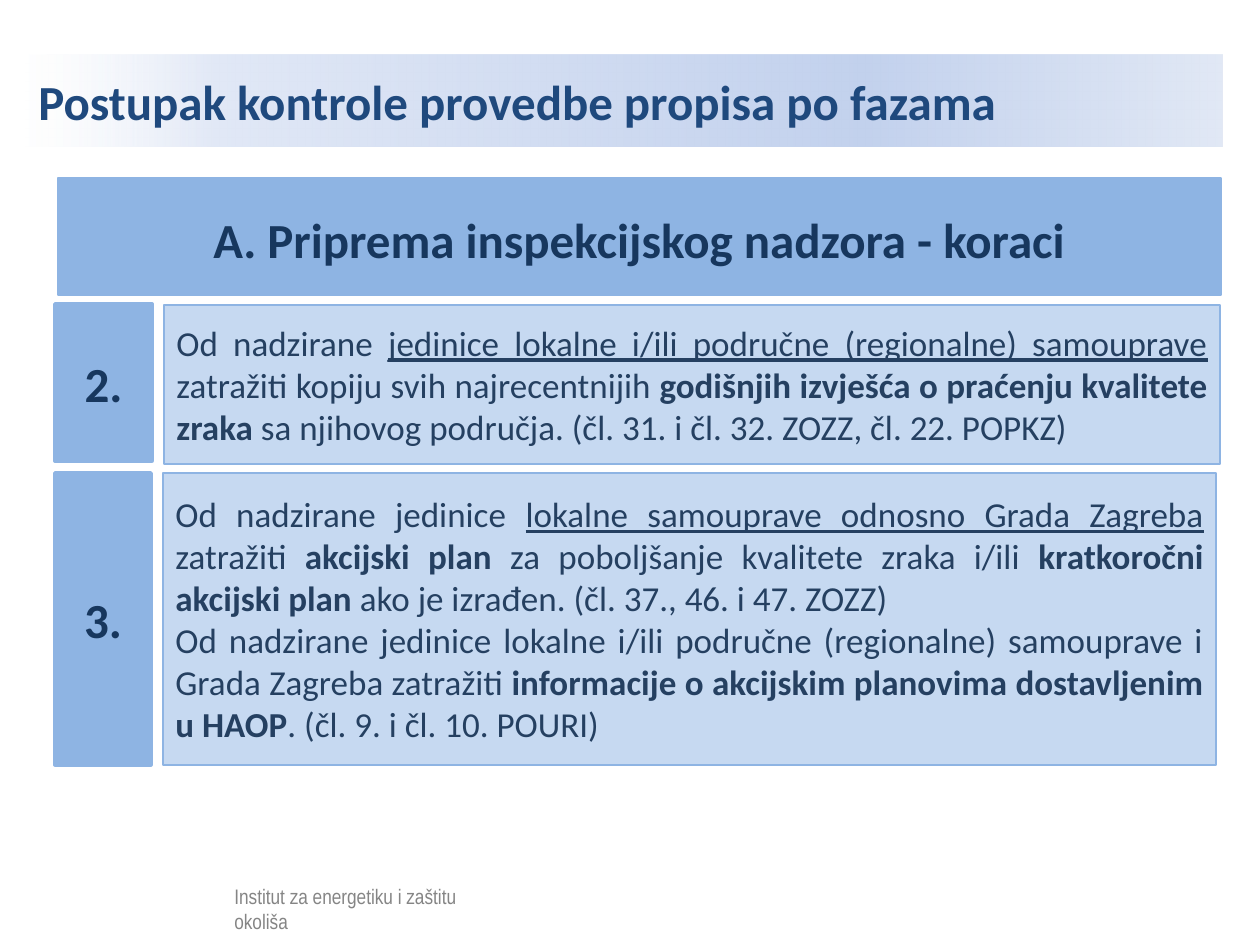
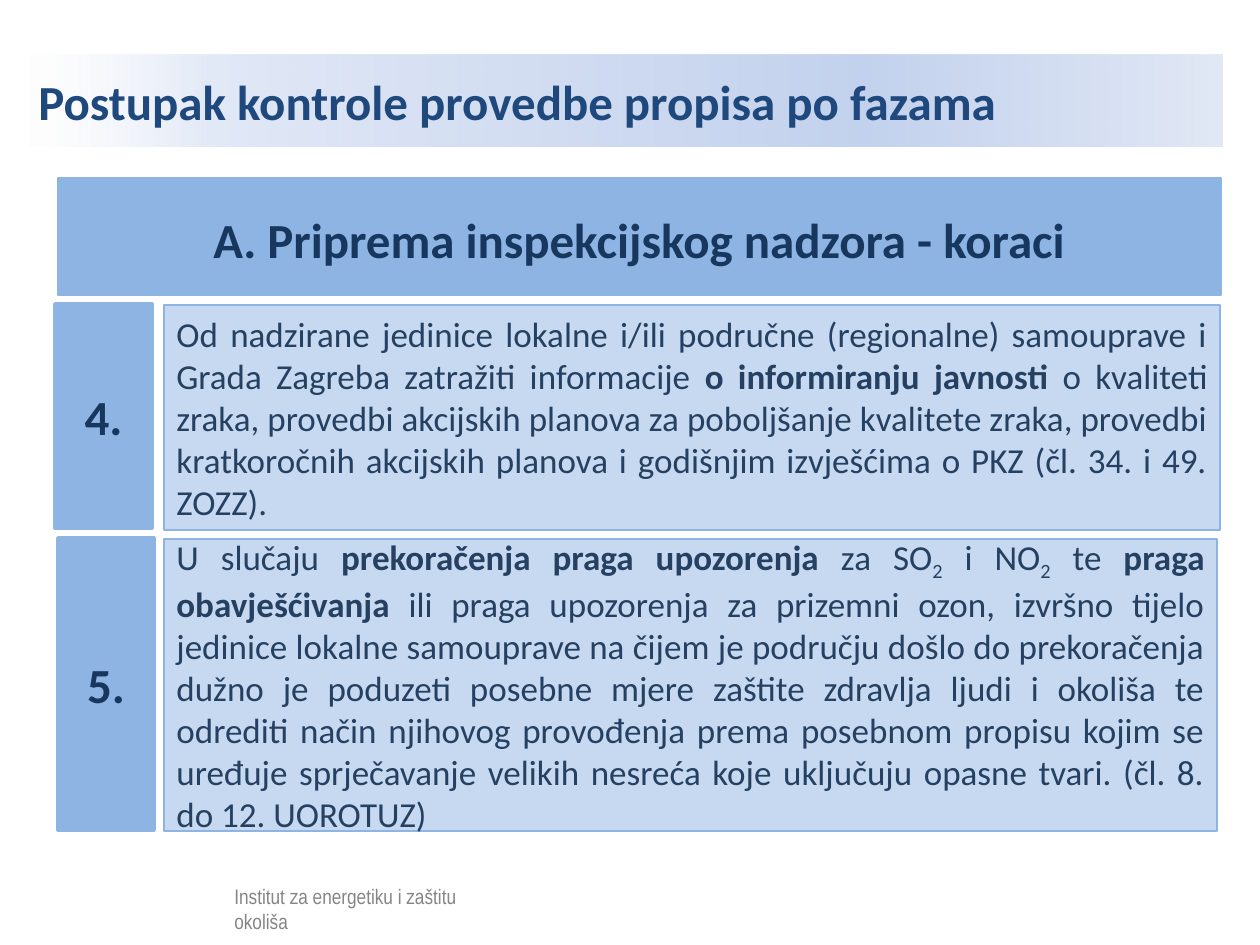
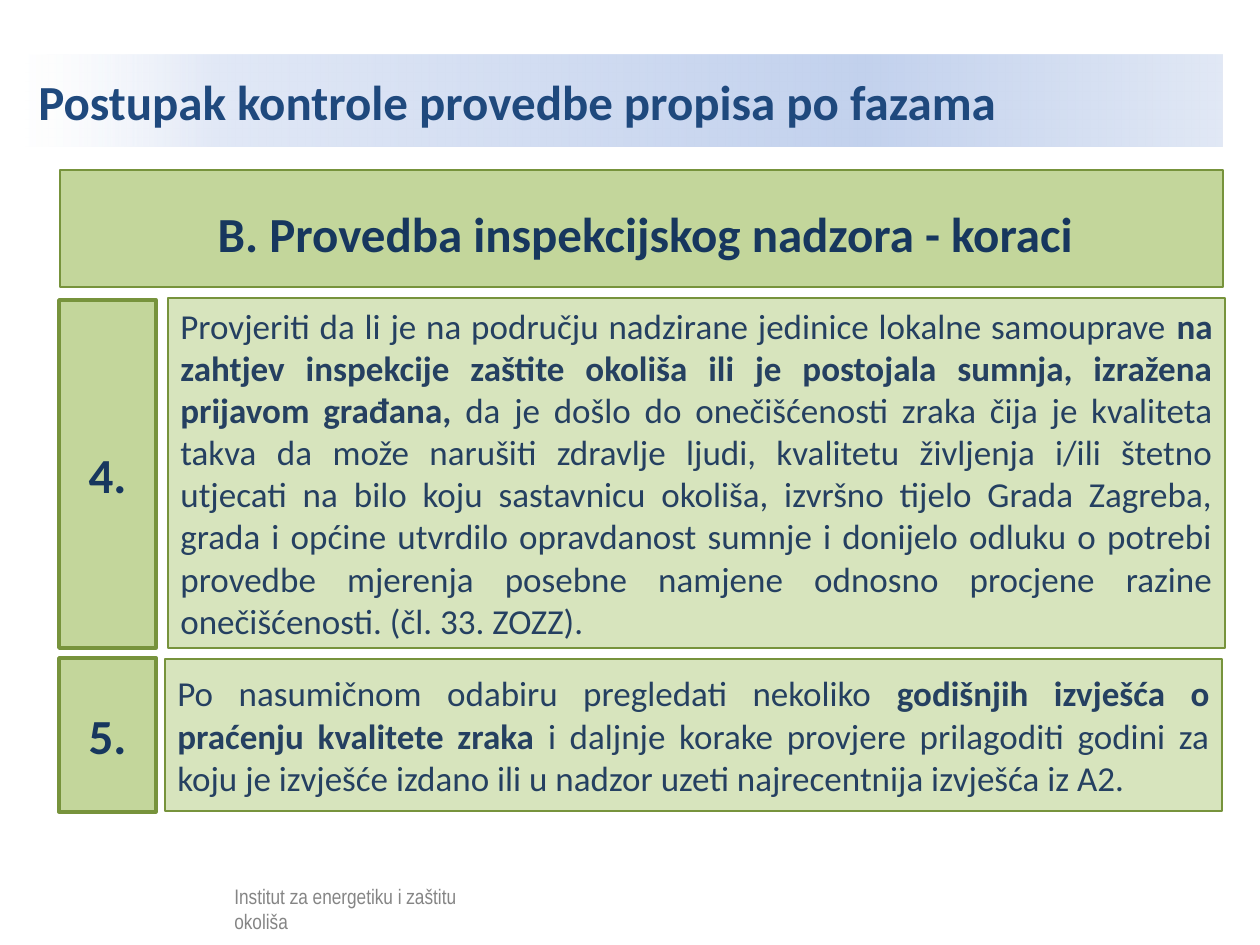
from lxml import etree
from pptx import Presentation
from pptx.dml.color import RGBColor
from pptx.enum.shapes import MSO_SHAPE
from pptx.enum.text import MSO_ANCHOR, PP_ALIGN
from pptx.oxml import parse_xml
from pptx.oxml.ns import nsdecls, qn
from pptx.util import Pt

RECT = MSO_SHAPE.RECTANGLE
TOP, MIDDLE = MSO_ANCHOR.TOP, MSO_ANCHOR.MIDDLE
LEFT, CENTER, JUSTIFY = PP_ALIGN.LEFT, PP_ALIGN.CENTER, PP_ALIGN.JUSTIFY
PX = 914400 / 126

TITLE = "Postupak kontrole provedbe propisa po fazama"
FOOTER = "Institut za energetiku i zaštitu okoliša"
NAVY, INK = "17375E", "254061"
BLUE = {"band": "8EB4E3", "body": "C6D9F1", "edge": "8EB4E3"}
GREEN = {"band": "C3D69B", "body": "D7E4BD", "edge": "77933C"}
STOPS = [(0, "FFFFFF", 52), (16, "E1E8F6", 100), (70, "C2D1ED", 100), (100, "E1E8F5", 100)]

# Each step: number, number box, body box, paragraphs of (style, text) runs.
# Styles: b bold, u underlined, s subscript.
SLIDES = [
    (BLUE, "A. Priprema inspekcijskog nadzora - koraci", (58, 178), (58, 203), [
        ("2.", (55, 304, 97, 157), (164, 305, 1056, 159), [[
            ("", "Od nadzirane "),
            ("u", "jedinice lokalne i/ili područne (regionalne) samouprave"),
            ("", " zatražiti kopiju svih najrecentnijih "),
            ("b", "godišnjih izvješća o praćenju kvalitete zraka"),
            ("", " sa njihovog područja. (čl. 31. i čl. 32. ZOZZ, čl. 22. POPKZ)"),
        ]]),
        ("3.", (55, 473, 96, 292), (163, 473, 1053, 292), [[
            ("", "Od nadzirane jedinice "),
            ("u", "lokalne samouprave odnosno Grada Zagreba"),
            ("", " zatražiti"),
            ("b", " akcijski plan "),
            ("", "za poboljšanje kvalitete zraka i/ili "),
            ("b", "kratkoročni akcijski plan"),
            ("", " ako je izrađen. (čl. 37., 46. i 47. ZOZZ)"),
        ], [
            ("", "Od nadzirane jedinice lokalne i/ili područne (regionalne) samouprave "
                 "i Grada Zagreba zatražiti "),
            ("b", "informacije o akcijskim planovima dostavljenim u HAOP"),
            ("", ". (čl. 9. i čl. 10. POURI)"),
        ]]),
    ]),
    (BLUE, "A. Priprema inspekcijskog nadzora - koraci", (58, 178), (58, 203), [
        ("4.", (55, 304, 97, 224), (164, 305, 1056, 225), [[
            ("", "Od nadzirane jedinice lokalne i/ili područne (regionalne) samouprave "
                 "i Grada Zagreba zatražiti informacije "),
            ("b", "o informiranju javnosti"),
            ("", " o kvaliteti zraka, provedbi akcijskih planova za poboljšanje kvalitete "
                 "zraka, provedbi kratkoročnih akcijskih planova i godišnjim izvješćima "
                 "o PKZ (čl. 34. i 49. ZOZZ)."),
        ]]),
        ("5.", (58, 538, 96, 292), (164, 539, 1053, 292), [[
            ("", "U slučaju "),
            ("b", "prekoračenja praga upozorenja"),
            ("", " za SO"),
            ("s", "2"),
            ("", " i NO"),
            ("s", "2"),
            ("", " te "),
            ("b", "praga obavješćivanja"),
            ("", " ili praga upozorenja za prizemni ozon, izvršno tijelo jedinice lokalne "
                 "samouprave na čijem je području došlo do prekoračenja dužno je poduzeti "
                 "posebne mjere zaštite zdravlja ljudi i okoliša te odrediti način njihovog "
                 "provođenja prema posebnom propisu kojim se uređuje sprječavanje velikih "
                 "nesreća koje uključuju opasne tvari. (čl. 8. do 12. UOROTUZ)"),
        ]]),
    ]),
    (GREEN, "B. Provedba inspekcijskog nadzora - koraci", (60, 170), (64, 197), [
        ("4.", (59, 300, 97, 348), (168, 298, 1057, 350), [[
            ("", "Provjeriti da li je na području nadzirane jedinice lokalne samouprave "),
            ("b", "na zahtjev inspekcije zaštite okoliša ili je postojala sumnja, "
                  "izražena prijavom građana,"),
            ("", " da je došlo do onečišćenosti zraka čija je kvaliteta takva da može "
                 "narušiti zdravlje ljudi, kvalitetu življenja i/ili štetno utjecati na bilo "
                 "koju sastavnicu okoliša, izvršno tijelo Grada Zagreba, grada i općine "
                 "utvrdilo opravdanost sumnje i donijelo odluku o potrebi provedbe mjerenja "
                 "posebne namjene odnosno procjene razine onečišćenosti. (čl. 33. ZOZZ)."),
        ]]),
        ("5.", (59, 658, 97, 154), (165, 659, 1057, 152), [[
            ("", "Po nasumičnom odabiru pregledati nekoliko "),
            ("b", "godišnjih izvješća o praćenju kvalitete zraka "),
            ("", "i daljnje korake provjere prilagoditi godini za koju je izvješće izdano "
                 "ili u nadzor uzeti najrecentnija izvješća iz A2."),
        ]]),
    ]),
]


def box(slide, area, fill=None, edge=None, width=1.5):
    """Add a rectangle, area in px; without a fill or edge it has none."""
    shape = slide.shapes.add_shape(RECT, *[round(n * PX) for n in area])
    shape.shadow.inherit = False
    if fill:
        shape.fill.solid()
        shape.fill.fore_color.rgb = RGBColor.from_string(fill)
    if edge:
        shape.line.color.rgb = RGBColor.from_string(edge)
        shape.line.width = Pt(width)
    else:
        shape.line.fill.background()
    return shape


def write(shape, paras, size, color, align, anchor=MIDDLE, font="Calibri"):
    """Fill a shape with paragraphs, each a list of (style, text) runs."""
    frame = shape.text_frame
    frame.word_wrap = True
    frame.vertical_anchor = anchor
    for i, runs in enumerate(paras):
        para = frame.add_paragraph() if i else frame.paragraphs[0]
        para.alignment = align
        for style, text in runs:
            run = para.add_run()
            run.text = text
            run.font.name = font
            run.font.size = Pt(size)
            run.font.color.rgb = RGBColor.from_string(color)
            run.font.bold = style == "b"
            run.font.underline = style == "u"
            if style == "s":
                run.font._element.set("baseline", "-25000")


prs = Presentation()
prs.slide_width = round(1260 * PX)
prs.slide_height = round(945 * PX)
stops = "".join(
    f'<a:gs pos="{pos * 1000}"><a:srgbClr val="{color}"><a:alpha val="{alpha * 1000}"/>'
    "</a:srgbClr></a:gs>" for pos, color, alpha in STOPS)
grad = (f'<a:gradFill {nsdecls("a")} rotWithShape="1"><a:gsLst>{stops}</a:gsLst>'
        '<a:lin ang="0" scaled="0"/></a:gradFill>')

for tint, head, start, spot, steps in SLIDES:
    slide = prs.slides.add_slide(prs.slide_layouts[6])

    title = box(slide, (26, 55, 1197, 92))
    title._element.spPr.insert(2, parse_xml(grad))
    write(title, [[("b", TITLE)]], 28, "1F497D", LEFT)

    foot = slide.shapes.add_textbox(*[round(n * PX) for n in (222, 877, 263, 32)])
    write(foot, [[("", FOOTER)]], 12, "000000", LEFT, TOP, "Arial Narrow")
    veil = box(slide, (52, 873, 481, 60), "FFFFFF")
    white = veil._element.spPr.find(".//" + qn("a:srgbClr"))
    etree.SubElement(white, qn("a:alpha")).set("val", "52000")

    box(slide, (*start, 1163, 117), tint["band"], tint["edge"])
    label = slide.shapes.add_textbox(*[round(n * PX) for n in (*spot, 1162, 72)])
    write(label, [[("b", head)]], 28, NAVY, CENTER, TOP)

    for num, side, area, paras in steps:
        body = box(slide, area, tint["body"], tint["edge"])
        write(body, paras, 20, INK, JUSTIFY)
        tag = box(slide, side, tint["band"], tint["edge"], 2)
        write(tag, [[("b", num)]], 28, NAVY, CENTER)

prs.save("out.pptx")
